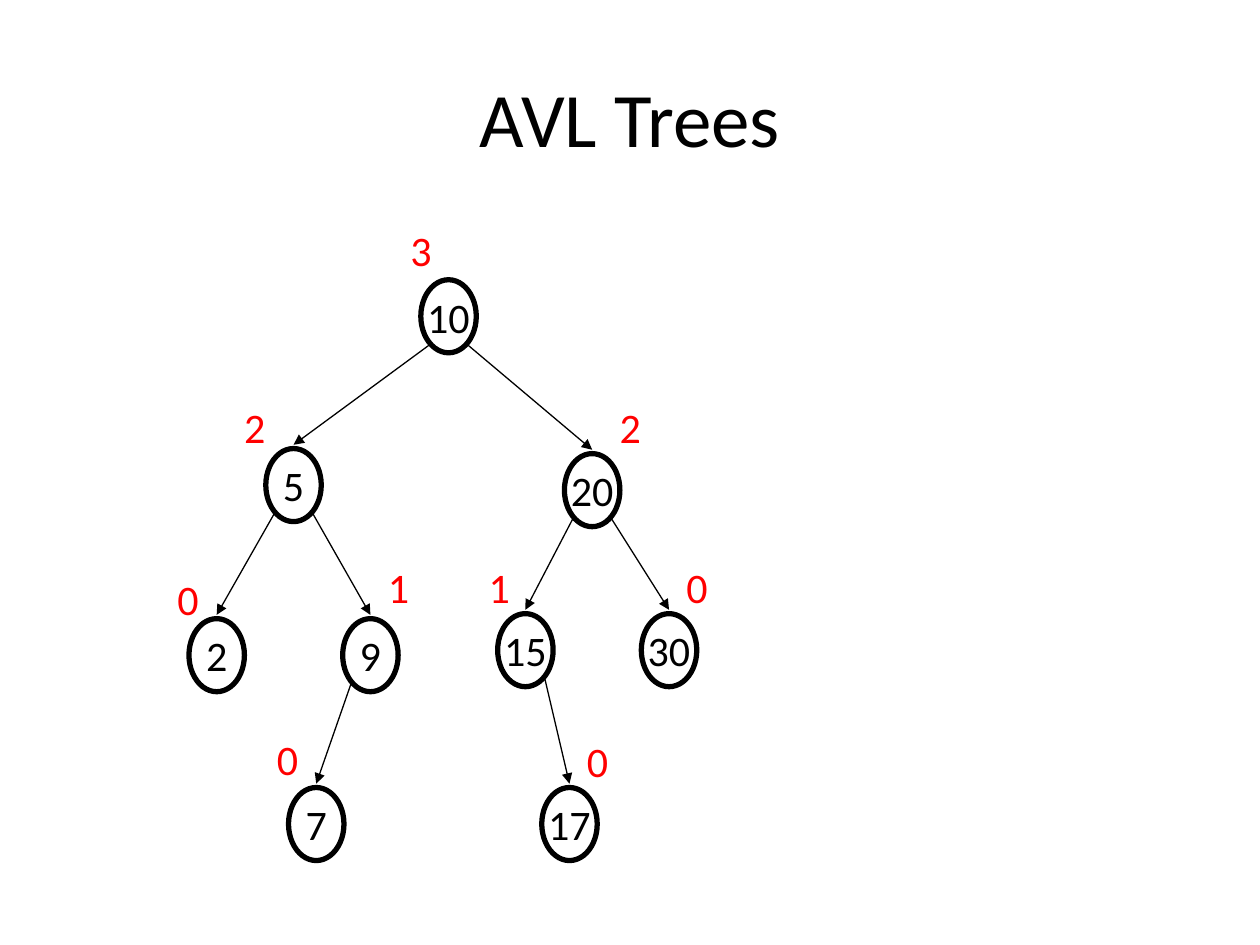
from lxml import etree
from pptx import Presentation
from pptx.dml.color import RGBColor
from pptx.enum.shapes import MSO_CONNECTOR, MSO_SHAPE
from pptx.enum.text import MSO_ANCHOR, MSO_AUTO_SIZE, PP_ALIGN
from pptx.oxml.ns import qn
from pptx.util import Inches, Pt

COLORS = {"ink": "000000", "height": "FF0000", "root": "FFFFFF"}
NODE_W, NODE_H = 0.44, 0.58
LABEL_W, LABEL_H = 0.37, 0.5
EDGE_DX, EDGE_DY, EDGE_GAP = 0.155, 0.52, 0.03

NODES = {
    "10": (3.34, 2.22, "3", 3.16, 1.73),
    "5": (2.11, 3.56, "2", 1.84, 3.14),
    "20": (4.48, 3.6, "2", 4.82, 3.14),
    "2": (1.5, 4.91, "0", 1.31, 4.5),
    "9": (2.72, 4.91, "1", 2.98, 4.41),
    "15": (3.95, 4.87, "1", 3.78, 4.41),
    "30": (5.09, 4.87, "0", 5.35, 4.41),
    "7": (2.29, 6.25, "0", 2.1, 5.77),
    "17": (4.3, 6.25, "0", 4.56, 5.79),
}
EDGES = [("10", "5"), ("10", "20"), ("5", "2"), ("5", "9"),
         ("20", "15"), ("20", "30"), ("9", "7"), ("15", "17")]


def rgb(name):
    return RGBColor.from_string(COLORS[name])


def set_text(tf, text, size, color, align):
    tf.text = text
    p = tf.paragraphs[0]
    p.alignment = align
    p.font.size = Pt(size)
    p.font.name = "Calibri"
    p.font.color.rgb = rgb(color)


prs = Presentation()
prs.slide_width, prs.slide_height = Inches(10), Inches(7.5)
s = prs.slides.add_slide(prs.slide_layouts[5])

title = s.shapes.title
title.left, title.top = Inches(0.5), Inches(0.3)
title.width, title.height = Inches(9), Inches(1.25)
title.text_frame.vertical_anchor = MSO_ANCHOR.MIDDLE
set_text(title.text_frame, "AVL Trees", 44, "ink", PP_ALIGN.CENTER)

for parent, child in EDGES:
    px, py = NODES[parent][:2]
    cx, cy = NODES[child][:2]
    side = EDGE_DX if cx > px else -EDGE_DX
    edge = s.shapes.add_connector(
        MSO_CONNECTOR.STRAIGHT,
        Inches(px + NODE_W / 2 + side), Inches(py + EDGE_DY),
        Inches(cx + NODE_W / 2), Inches(cy - EDGE_GAP))
    edge.line.color.rgb = rgb("ink")
    edge.line.width = Pt(0.75)
    etree.SubElement(edge.line._get_or_add_ln(), qn("a:tailEnd"), type="triangle")
    etree.SubElement(edge._element.spPr, qn("a:effectLst"))

for key, (x, y, height, label_x, label_y) in NODES.items():
    sp = s.shapes.add_shape(MSO_SHAPE.OVAL, Inches(x), Inches(y),
                            Inches(NODE_W), Inches(NODE_H))
    sp.shadow.inherit = False
    if key == "10":
        sp.fill.solid()
        sp.fill.fore_color.rgb = rgb("root")
    else:
        sp.fill.background()
    sp.line.color.rgb = rgb("ink")
    sp.line.width = Pt(3)
    tf = sp.text_frame
    tf.word_wrap = False
    tf.vertical_anchor = MSO_ANCHOR.MIDDLE
    set_text(tf, key, 24, "ink", PP_ALIGN.CENTER)

    label = s.shapes.add_textbox(Inches(label_x), Inches(label_y),
                                 Inches(LABEL_W), Inches(LABEL_H))
    tf = label.text_frame
    tf.word_wrap = False
    tf.auto_size = MSO_AUTO_SIZE.SHAPE_TO_FIT_TEXT
    set_text(tf, height, 24, "height", PP_ALIGN.LEFT)

prs.save("out.pptx")
